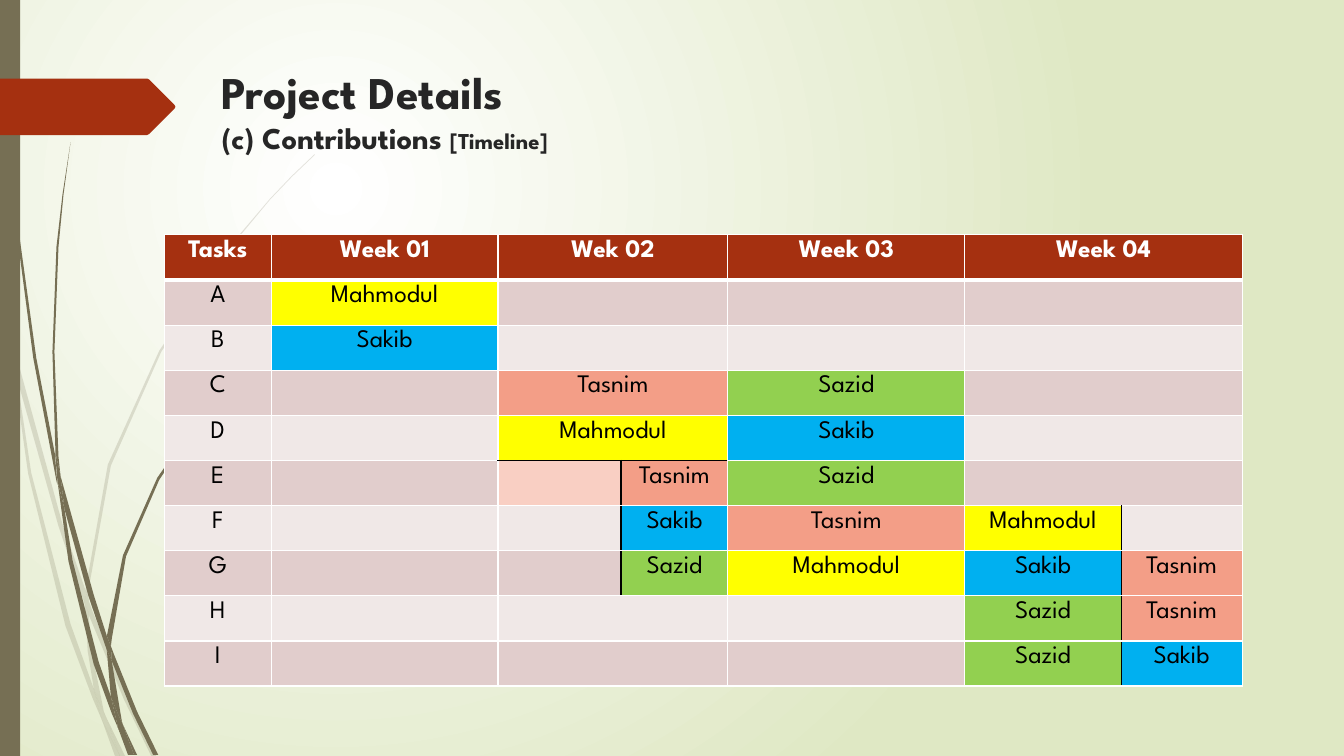
from pptx import Presentation
from pptx.dml.color import RGBColor
from pptx.enum.shapes import MSO_SHAPE as Preset
from pptx.enum.text import MSO_ANCHOR as Anchor, PP_ALIGN as Align
from pptx.oxml import parse_xml
from pptx.oxml.ns import nsdecls, qn
from pptx.util import Inches, Pt

FONT = "League Spartan"
OLIVE, RUST, WHITE, BLACK = "766F54", "A53010", "FFFFFF", "000000"
BANDS = ("F0E8E7", "E1CDCC")
PERSON_COLORS = {"Mahmodul": "FFFF00", "Sakib": "00B0F0",
                 "Tasnim": "F39E87", "Sazid": "92D050"}
WEEKS = {0: "Tasks", 1: "Week 01", 2: "Wek 02", 4: "Week 03", 5: "Week 04"}
ASSIGNMENTS = {
    "A": {1: "Mahmodul"},
    "B": {1: "Sakib"},
    "C": {2: "Tasnim", 4: "Sazid"},
    "D": {2: "Mahmodul", 4: "Sakib"},
    "E": {3: "Tasnim", 4: "Sazid"},
    "F": {3: "Sakib", 4: "Tasnim", 5: "Mahmodul"},
    "G": {3: "Sazid", 4: "Mahmodul", 5: "Sakib", 6: "Tasnim"},
    "H": {5: "Sazid", 6: "Tasnim"},
    "I": {5: "Sazid", 6: "Sakib"},
}
SPLIT_WEEKS = {2: "EFG", 5: "FGHI"}
COLUMN_WIDTHS = (1.06, 2.25, 1.22, 1.06, 2.35, 1.55, 1.2)

PALE_BLADES = [
    [(.11, 3.5), (.09, 3.22), (0, 2.82), (0, 2.99), (.1, 3.44)],
    [(.58, 5.22), (.84, 5.99), (.85, 5.86), (.62, 5.2), (.14, 3.45), (.17, 3.76)],
    [(.92, 6.07), (.88, 5.96), (.88, 6.1), (1.23, 6.94), (1.5, 7.5), (1.55, 7.5),
     (1.27, 6.92)],
    [(1.19, 7.5), (1.24, 7.5), (1.05, 7.11)],
    [(.93, 6.83), (.7, 6.19), (.31, 4.69), (.17, 3.76), (.11, 3.5), (.28, 4.7),
     (.65, 6.21), (.92, 6.93), (1.01, 7.14), (.99, 7.07)],
    [(.84, 5.99), (.87, 6.46), (.93, 6.83), (.96, 6.92), (1.05, 7.11), (1.03, 7.06),
     (.91, 6.46), (.88, 6.1), (.88, 6.08)],
    [(.88, 5.84), (1.1, 4.62), (1.6, 3.49), (2.29, 2.45), (2.68, 1.98), (2.9, 1.75),
     (3.12, 1.54), (3.12, 1.53), (2.89, 1.75), (2.68, 1.97), (2.28, 2.44), (1.58, 3.48),
     (1.07, 4.61), (.85, 5.84), (.85, 5.86), (.88, 5.96)],
    [(1.01, 7.14), (1.14, 7.5), (1.19, 7.5)],
    [(.88, 6.08), (.88, 6.1), (.88, 5.96), (.85, 5.86), (.84, 5.99)],
    [(.96, 6.92), (.93, 6.83), (.99, 7.07), (1.01, 7.14), (1.19, 7.5), (1.05, 7.11)],
]
DARK_BLADES = [
    [(.07, 1.1), (.17, 2.33), (.33, 3.55), (.56, 4.77), (.57, 4.81), (.55, 4.57),
     (.55, 4.53), (.36, 3.55), (.19, 2.32), (.08, 1.09), (.05, .48), (.04, 0),
     (.03, 0), (.04, .48)],
    [(.88, 5.92), (1.06, 6.45), (1.06, 6.31), (.93, 5.9), (.6, 4.72), (.64, 5.05)],
    [(1.13, 6.49), (1.1, 6.41), (1.11, 6.56), (1.32, 7.08), (1.52, 7.49), (1.57, 7.49),
     (1.36, 7.06)],
    [(1.1, 6.91), (.98, 6.57), (.72, 5.56), (.64, 5.05), (.57, 4.77), (.68, 5.57),
     (.93, 6.59), (1.11, 7.08), (1.17, 7.22), (1.16, 7.17)],
    [(.6, 4.72), (.58, 4.53), (.54, 3.49), (.58, 2.45), (.63, 1.93), (.7, 1.41),
     (.62, 1.93), (.56, 2.45), (.52, 3.49), (.55, 4.49)],
    [(1.33, 7.49), (1.36, 7.49), (1.22, 7.19)],
    [(.57, 4.77), (.64, 5.05), (.6, 4.72), (.55, 4.49), (.55, 4.53)],
    [(1.11, 6.33), (1.25, 5.52), (1.58, 4.76), (2.05, 4.06), (2.31, 3.74), (2.45, 3.59),
     (2.61, 3.44), (2.45, 3.58), (2.31, 3.73), (2.04, 4.05), (1.56, 4.74), (1.22, 5.51),
     (1.06, 6.31), (1.1, 6.41)],
    [(1.17, 7.22), (1.27, 7.49), (1.31, 7.49)],
    [(1.06, 6.45), (1.1, 6.91), (1.16, 7.06), (1.22, 7.19), (1.21, 7.16), (1.11, 6.56),
     (1.09, 6.51)],
    [(1.06, 6.45), (1.09, 6.51), (1.11, 6.56), (1.1, 6.41), (1.06, 6.31)],
    [(1.16, 7.06), (1.1, 6.91), (1.16, 7.17), (1.17, 7.22), (1.3, 7.49), (1.33, 7.49),
     (1.22, 7.19)],
]


def color(hex_string):
    return RGBColor.from_string(hex_string)


def paint(shape, hex_string, alpha=100):
    shape.shadow.inherit = False
    shape.line.fill.background()
    shape.fill.solid()
    shape.fill.fore_color.rgb = color(hex_string)
    if alpha < 100:
        tint = shape.element.spPr.find(".//" + qn("a:srgbClr"))
        tint.append(parse_xml(f'<a:alpha {nsdecls("a")} val="{alpha * 1000}"/>'))


def add_outline(shapes, left, top, points, hex_string, alpha=100):
    corners = [(Inches(left + x), Inches(top + y)) for x, y in points]
    builder = shapes.build_freeform(*corners[0])
    builder.add_line_segments(corners[1:], close=True)
    paint(builder.convert_to_shape(), hex_string, alpha)


def add_backdrop(slide):
    fill = slide.background.fill
    fill.gradient()
    for stop, tone in zip(fill.gradient_stops, (WHITE, "DFE8C4")):
        stop.color.rgb = color(tone)
    gradient = slide.element.find(".//" + qn("a:gradFill"))
    gradient.replace(gradient.find(qn("a:lin")), parse_xml(
        f'<a:path {nsdecls("a")} path="circle"><a:fillToRect l="50000" t="50000" '
        'r="100000" b="100000"/></a:path>'))


def add_grass(slide, left, top, height):
    for blades, alpha in ((PALE_BLADES, 20), (DARK_BLADES, 100)):
        tuft = slide.shapes.add_group_shape()
        for blade in blades:
            add_outline(tuft.shapes, left, top, blade, OLIVE, alpha)
    stripe = slide.shapes.add_shape(
        Preset.RECTANGLE, Inches(left), Inches(top), Inches(.2), Inches(height))
    paint(stripe, OLIVE)


def add_ribbon(slide, left, top, width, height):
    shoulder, middle = width - .26, height / 2
    points = [(0, 0), (shoulder - .02, 0), (shoulder, .01), (width - .01, middle - .02),
              (width, middle), (width - .01, middle + .02), (shoulder, height - .01),
              (shoulder - .02, height), (0, height)]
    add_outline(slide.shapes, left, top, points, RUST)


def add_heading(slide, left, top, width, height):
    frame = slide.shapes.add_textbox(
        Inches(left), Inches(top), Inches(width), Inches(height)).text_frame
    frame.word_wrap = True
    frame.vertical_anchor = Anchor.TOP
    heading = frame.paragraphs[0]
    heading.font.name, heading.font.bold = FONT, True
    heading.font.color.rgb = color("262626")
    for text, size in (("Project Details", 32.4), ("(c) Contributions ", 21.6),
                       ("[Timeline]", 16.2)):
        run = heading.add_run()
        run.text, run.font.size = text, Pt(size)
        if text == "Project Details":
            heading.add_line_break()


def style_cell(cell, text, fill, edges, header=False):
    properties = cell._tc.get_or_add_tcPr()
    for side in "LRTB":
        tone, weight = edges.get(side, (WHITE, 1))
        properties.append(parse_xml(
            f'<a:ln{side} {nsdecls("a")} w="{Pt(weight)}"><a:solidFill>'
            f'<a:srgbClr val="{tone}"/></a:solidFill></a:ln{side}>'))
    cell.fill.solid()
    cell.fill.fore_color.rgb = color(fill)
    cell.text = text
    entry = cell.text_frame.paragraphs[0]
    entry.alignment = Align.CENTER
    entry.font.name, entry.font.size, entry.font.bold = FONT, Pt(18), header
    entry.font.color.rgb = color(WHITE if header else BLACK)


def task_edges(task, column):
    edges = {}
    for first, tasks in SPLIT_WEEKS.items():
        if task in tasks and column in (first, first + 1):
            edges["R" if column == first else "L"] = (BLACK, 1)
    if column in (2, 3) and task in "DE":
        edges["B" if task == "D" else "T"] = (BLACK, 1)
    return edges


def add_timeline(slide, left, top, width, height):
    row_count = len(ASSIGNMENTS) + 1
    timeline = slide.shapes.add_table(
        row_count, len(COLUMN_WIDTHS), Inches(left), Inches(top),
        Inches(width), Inches(height)).table
    for column, share in zip(timeline.columns, COLUMN_WIDTHS):
        column.width = Inches(width * share / sum(COLUMN_WIDTHS))
    for row in timeline.rows:
        row.height = Inches(height / row_count)
    for column in range(len(COLUMN_WIDTHS)):
        style_cell(timeline.cell(0, column), WEEKS.get(column, ""), RUST,
                   {"B": (WHITE, 3)}, header=True)
    for row, (task, people) in enumerate(ASSIGNMENTS.items(), 1):
        for column in range(len(COLUMN_WIDTHS)):
            person = people.get(column, "")
            fill = PERSON_COLORS.get(person, BANDS[row % 2])
            if (task, column) == ("E", 2):
                fill = "F9CFC3"
            edges = {"T": (WHITE, 3)} if row == 1 else task_edges(task, column)
            style_cell(timeline.cell(row, column), person or (task if column == 0 else ""),
                       fill, edges)
    for first, tasks in SPLIT_WEEKS.items():
        for row, task in enumerate(["Tasks", *ASSIGNMENTS]):
            if task not in tasks:
                timeline.cell(row, first).merge(timeline.cell(row, first + 1))


deck = Presentation()
deck.slide_width, deck.slide_height = Inches(13.33), Inches(7.5)
page = deck.slides.add_slide(deck.slide_layouts[6])
add_backdrop(page)
add_grass(page, 0, 0, 7.5)
add_ribbon(page, 0, .78, 1.74, .56)
add_heading(page, 2.1, .59, 9.75, 1.1)
add_timeline(page, 1.63, 2.33, 10.69, 4.48)
deck.save("out.pptx")
